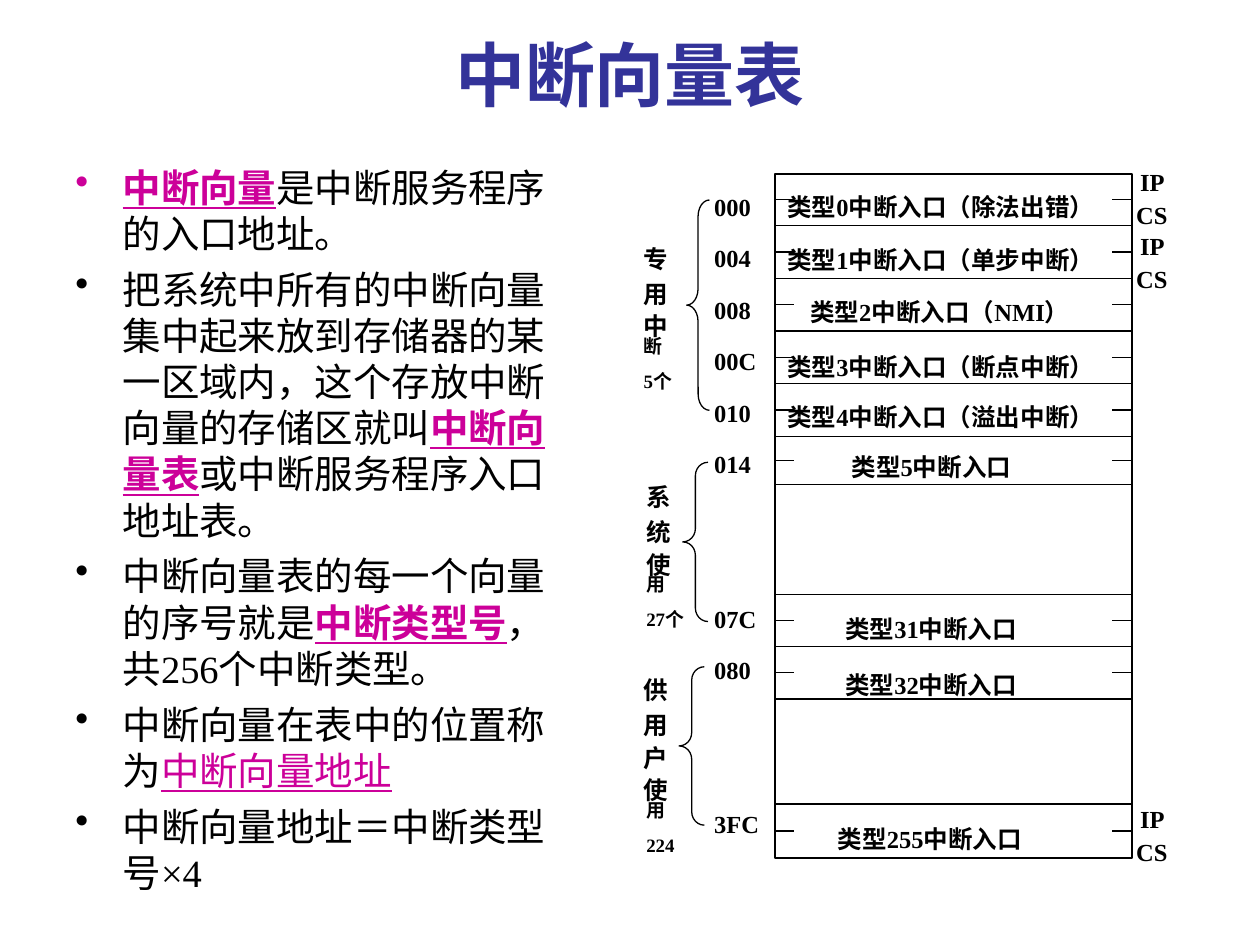
from typing import NamedTuple

from lxml import etree
from pptx import Presentation
from pptx import util as u
from pptx.dml.color import RGBColor
from pptx.enum import shapes, text
from pptx.oxml import ns

FONT = "Times New Roman"
BLACK, NAVY, MAGENTA = "000000", "333399", "CC0099"
LINE_WIDTH = 0.75
TABLE_LEFT, TABLE_TOP, TABLE_RIGHT, TABLE_BOTTOM = 442.8, 99.4, 646.8, 490.3
TICK = 11.2
LABEL_HEIGHT = 45.4


class Run(NamedTuple):
    text: str
    color: str = BLACK
    bold: bool = False
    underline: bool = False


class Row(NamedTuple):
    """One vector entry: its edges and the position of its label."""
    label: str
    top: float
    bottom: float
    label_left: float
    label_top: float
    label_width: float = 204


class Range(NamedTuple):
    """A named range of vectors: large characters, then a small one with a count."""
    characters: str
    last: str
    count: str
    left: float
    last_left: float
    top: float
    brace: tuple[float, float, float, float]
    curve: float


class Address(NamedTuple):
    text: str
    gap: float = 0


def term(words: str, bold: bool = True) -> Run:
    return Run(words, MAGENTA, bold, True)


BULLETS = [
    [term("中断向量"), Run("是中断服务程序的入口地址。")],
    [Run("把系统中所有的中断向量集中起来放到存储器的某一区域内，这个存放中断向量的存储区就叫"),
     term("中断向量表"), Run("或中断服务程序入口地址表。")],
    [Run("中断向量表的每一个向量的序号就是"), term("中断类型号"), Run("，共256个中断类型。")],
    [Run("中断向量在表中的位置称为"), term("中断向量地址", bold=False)],
    [Run("中断向量地址＝中断类型号×4")],
]
ROWS = [
    Row("类型0中断入口（除法出错）", TABLE_TOP, 129, 442.8, 93.6),
    Row("类型1中断入口（单步中断）", 129, 159, 442.8, 123.8),
    Row("类型2中断入口（NMI）", 159, 189.2, 455.8, 153.4),
    Row("类型3中断入口（断点中断）", 189.2, 219.3, 442.8, 185),
    Row("类型4中断入口（溢出中断）", 219.3, 249.3, 442.8, 213.8),
    Row("类型5中断入口", 249.3, 276.8, 479.5, 241.9, 126.7),
    Row("类型31中断入口", 339.6, 369.4, 475.9, 334.8, 126.7),
    Row("类型32中断入口", 369.4, 399.5, 475.9, 366.5, 126.7),
    Row("类型255中断入口", 459.5, TABLE_BOTTOM, 471.6, 455, 143.3),
]
SKIPPED = 58.8  # height of two address lines
ADDRESSES = [Address(name) for name in ("000", "004", "008", "00C", "010", "014")] + [
    Address("07C", SKIPPED), Address("080"), Address("3FC", SKIPPED)]
RANGES = [
    Range("专用中", "断", "5个", 360.7, 360.7, 123.1, (392.4, 114.3, 13, 120.2), 0.72),
    Range("系统使", "用", "27个", 362.2, 362.2, 259.2, (390.2, 264.2, 14.4, 91), 0.53),
    Range("供用户使", "用", "224", 360.7, 362.2, 369.4, (388.1, 381, 14.4, 90.5), 0.53),
]
CHARACTER_OFFSETS = (0, 20.3, 38.8, 57.3, 76.2)
WORD_PAIR_TOPS = (79.2, 115.9, 443.5)


def rgb(color: str) -> RGBColor:
    return RGBColor.from_string(color)


def add_bullet(paragraph, color: str, indent: float) -> None:
    properties = paragraph._p.get_or_add_pPr()
    properties.set("marL", str(u.Pt(indent)))
    properties.set("indent", str(-u.Pt(indent)))
    bullet_color = etree.SubElement(properties, ns.qn("a:buClr"))
    etree.SubElement(bullet_color, ns.qn("a:srgbClr")).set("val", color)
    etree.SubElement(properties, ns.qn("a:buChar")).set("char", "•")


def add_text(slide, left: float, top: float, width: float, height: float,
             paragraphs: list[list[Run]], *, size: float = 14,
             alignment=text.PP_ALIGN.JUSTIFY, anchor=text.MSO_ANCHOR.TOP,
             line_spacing: float = 1.75, gaps: list[float] | None = None,
             bullet_indent: float = 0) -> None:
    """Gaps are the spaces before each paragraph."""
    box = slide.shapes.add_textbox(u.Pt(left), u.Pt(top), u.Pt(width), u.Pt(height))
    frame = box.text_frame
    frame.word_wrap = True
    frame.vertical_anchor = anchor
    for index, runs in enumerate(paragraphs):
        paragraph = frame.add_paragraph() if index else frame.paragraphs[0]
        if bullet_indent:
            add_bullet(paragraph, runs[0].color, bullet_indent)
        paragraph.alignment = alignment
        paragraph.line_spacing = line_spacing
        paragraph.space_before = u.Pt(gaps[index] if gaps else 0)
        for item in runs:
            run = paragraph.add_run()
            run.text = item.text
            font = run.font
            font.name, font.size = FONT, u.Pt(size)
            font.bold, font.underline = item.bold, item.underline
            font.color.rgb = rgb(item.color)


def add_label(slide, left: float, top: float, width: float, *lines: str, **options) -> None:
    """Bold black text, one paragraph for each line."""
    add_text(slide, left, top, width, LABEL_HEIGHT,
             [[Run(line, bold=True)] for line in lines], **options)


def set_line(shape) -> None:
    shape.line.color.rgb = rgb(BLACK)
    shape.line.width = u.Pt(LINE_WIDTH)


def add_horizontal(slide, left: float, right: float, y: float) -> None:
    connector = slide.shapes.add_connector(
        shapes.MSO_CONNECTOR.STRAIGHT, u.Pt(left), u.Pt(y), u.Pt(right), u.Pt(y))
    set_line(connector)
    etree.SubElement(connector._element.spPr, ns.qn("a:effectLst"))


def add_outline(slide, kind, left: float, top: float, width: float, height: float):
    shape = slide.shapes.add_shape(kind, u.Pt(left), u.Pt(top), u.Pt(width), u.Pt(height))
    shape.shadow.inherit = False
    shape.fill.background()
    set_line(shape)
    return shape


def add_vector_table(slide) -> None:
    add_outline(slide, shapes.MSO_SHAPE.RECTANGLE, TABLE_LEFT, TABLE_TOP,
                TABLE_RIGHT - TABLE_LEFT, TABLE_BOTTOM - TABLE_TOP)
    edges = {edge for row in ROWS for edge in (row.top, row.bottom)}
    for edge in sorted(edges - {TABLE_TOP, TABLE_BOTTOM}):
        add_horizontal(slide, TABLE_LEFT, TABLE_RIGHT, edge)
    for row in ROWS:
        middle = (row.top + row.bottom) / 2
        add_horizontal(slide, TABLE_LEFT, TABLE_LEFT + TICK, middle)
        add_horizontal(slide, TABLE_RIGHT - TICK, TABLE_RIGHT, middle)
        add_label(slide, row.label_left, row.label_top, row.label_width, row.label)
    for top in WORD_PAIR_TOPS:
        add_label(slide, 644.4, top, 42.5, "IP")
        add_label(slide, 642.2, top + 18.7, 42.5, "CS")


def add_range(slide, item: Range) -> None:
    brace = add_outline(slide, shapes.MSO_SHAPE.LEFT_BRACE, *item.brace)
    brace.adjustments[0] = item.curve
    for character, offset in zip(item.characters, CHARACTER_OFFSETS):
        add_label(slide, item.left, item.top + offset, 42.5, character)
    last_top = item.top + CHARACTER_OFFSETS[len(item.characters)]
    add_label(slide, item.last_left, last_top, 42.5, item.last, item.count,
              size=10.8, line_spacing=1.55)


def main() -> None:
    presentation = Presentation()
    presentation.slide_width, presentation.slide_height = u.Pt(720), u.Pt(540)
    slide = presentation.slides.add_slide(presentation.slide_layouts[6])
    add_text(slide, 36, 12.2, 648, 59.8, [[Run("中断向量表", NAVY, bold=True)]], size=40,
             alignment=text.PP_ALIGN.CENTER, anchor=text.MSO_ANCHOR.MIDDLE, line_spacing=1)
    add_text(slide, 36, 90, 288, 426, BULLETS, size=22, alignment=text.PP_ALIGN.LEFT,
             line_spacing=1, gaps=[0] + [5.5] * (len(BULLETS) - 1), bullet_indent=27)
    add_vector_table(slide)
    add_text(slide, 401, 93.6, 56.9, 450.7 - 5,
             [[Run(address.text, bold=True)] for address in ADDRESSES],
             gaps=[address.gap for address in ADDRESSES])
    for item in RANGES:
        add_range(slide, item)
    presentation.save("out.pptx")


if __name__ == "__main__":
    main()
